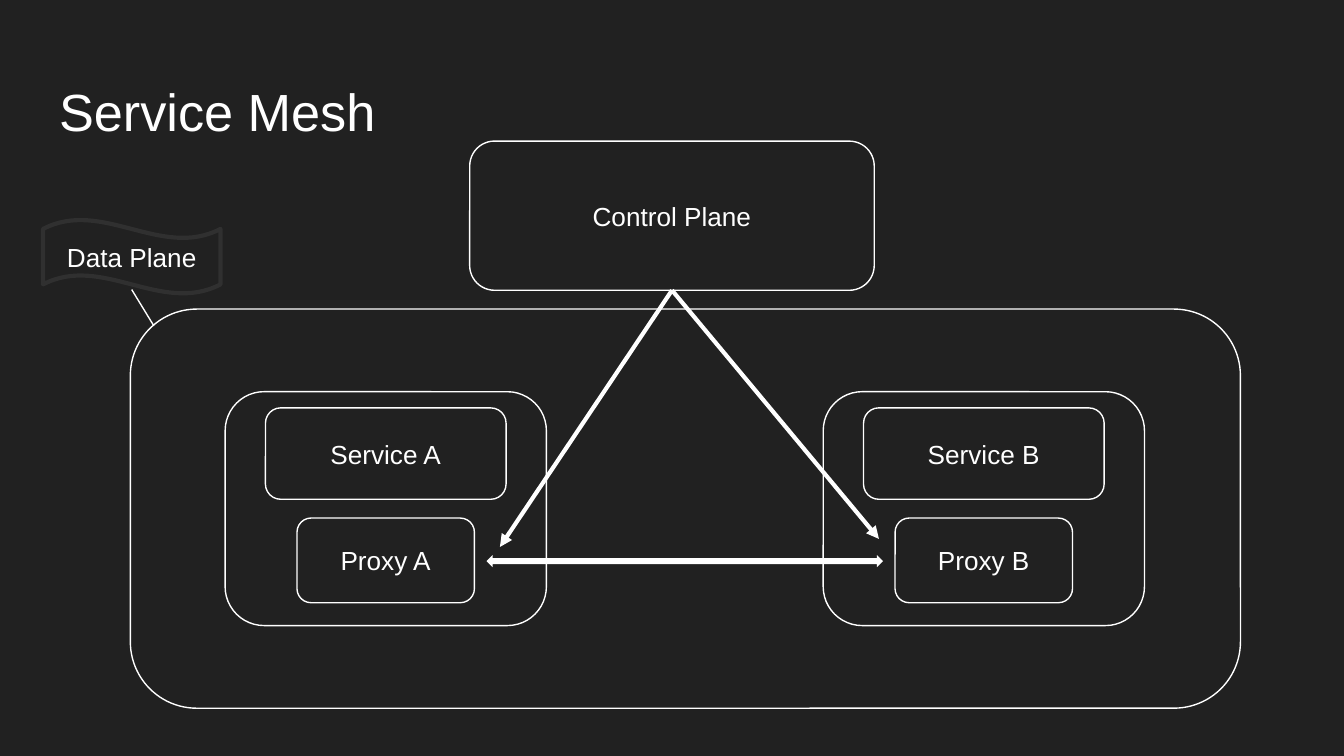
from dataclasses import dataclass

from pptx import Presentation
from pptx.dml.color import RGBColor
from pptx.enum.shapes import MSO_CONNECTOR, MSO_SHAPE
from pptx.enum.text import MSO_ANCHOR, PP_ALIGN
from pptx.oxml.ns import qn
from pptx.util import Inches, Pt
from lxml.etree import SubElement


@dataclass(frozen=True)
class Theme:
    background: RGBColor = RGBColor(0x21, 0x21, 0x21)
    ink: RGBColor = RGBColor(0xFF, 0xFF, 0xFF)
    muted: RGBColor = RGBColor(0x30, 0x30, 0x30)
    font: str = "Arial"
    title_size: float = 28
    label_size: float = 14
    thin: float = 0.75
    thick: float = 2.25


@dataclass(frozen=True)
class Box:
    left: float
    top: float
    width: float
    height: float

    def centered(self, top, width, height):
        return Box(self.left + (self.width - width) / 2, self.top + top, width, height)

    def emu(self):
        return [grid(value) for value in (self.left, self.top, self.width, self.height)]


THEME = Theme()
COLUMNS, ROWS = 100, 56.25


def grid(units):
    return Inches(10 * units / COLUMNS)


def write(shape, text, size, align, anchor):
    frame = shape.text_frame
    settings = {"word_wrap": True, "vertical_anchor": anchor}
    settings.update({f"margin_{side}": Inches(0.1) for side in ("left", "top", "right", "bottom")})
    for name, value in settings.items():
        setattr(frame, name, value)
    para = frame.paragraphs[0]
    para.alignment = align
    span = para.add_run()
    span.text = text
    for name, value in {"name": THEME.font, "size": Pt(size), "bold": False}.items():
        setattr(span.font, name, value)
    span.font.color.rgb = THEME.ink


def outline(page, box, text="", kind=MSO_SHAPE.ROUNDED_RECTANGLE, color=THEME.ink, weight=THEME.thin):
    shape = page.shapes.add_shape(kind, *box.emu())
    shape.shadow.inherit = False
    shape.fill.background()
    shape.line.color.rgb = color
    shape.line.width = Pt(weight)
    if text:
        write(shape, text, THEME.label_size, PP_ALIGN.CENTER, MSO_ANCHOR.MIDDLE)
    return shape


def connect(page, start, end, weight, source=None, arrow=False):
    points = [grid(value) for value in (*start, *end)]
    line = page.shapes.add_connector(MSO_CONNECTOR.STRAIGHT, *points)
    if source is not None:
        line.begin_connect(source, 2)
    line.line.color.rgb = THEME.ink
    line.line.width = Pt(weight)
    if arrow:
        SubElement(line.line._get_or_add_ln(), qn("a:tailEnd"), type="triangle")
    SubElement(line._element.spPr, qn("a:effectLst"))


def place_title(page, box, text):
    title = page.shapes.title
    for name, value in zip(("left", "top", "width", "height"), box.emu()):
        setattr(title, name, value)
    write(title, text, THEME.title_size, PP_ALIGN.LEFT, MSO_ANCHOR.TOP)


def place_workload(page, box, letter):
    outline(page, box)
    outline(page, box.centered(9.4, 13.2, 6.3), f"Proxy {letter}")
    outline(page, box.centered(1.2, 17.9, 6.8), f"Service {letter}")


def place_data_plane(page, box):
    outline(page, box)
    for letter, offset in (("A", 7.05), ("B", 51.55)):
        place_workload(page, Box(box.left + offset, box.top + 6.15, 23.9, 17.4), letter)
    traffic = outline(page, Box(box.left + 26.5, box.top + 18.3, 29.5, 0.9), kind=MSO_SHAPE.LEFT_RIGHT_ARROW)
    traffic.fill.solid()
    traffic.fill.fore_color.rgb = THEME.ink
    traffic.line.fill.background()


def place_control_plane(page, box, targets):
    control = outline(page, box, "Control Plane")
    start = (box.left + box.width / 2, box.top + box.height)
    for target in targets:
        connect(page, start, target, THEME.thick, source=control, arrow=True)


def place_flag(page, box, target):
    connect(page, (box.left + box.width / 2, 21.55), target, THEME.thin)
    outline(page, box, "Data Plane", MSO_SHAPE.WAVE, THEME.muted, THEME.thick)


def main():
    deck = Presentation()
    deck.slide_width, deck.slide_height = grid(COLUMNS), grid(ROWS)
    page = deck.slides.add_slide(deck.slide_layouts[5])
    page.background.fill.solid()
    page.background.fill.fore_color.rgb = THEME.background
    place_title(page, Box(3.4, 4.9, 93.2, 6.3), "Service Mesh")
    place_data_plane(page, Box(9.7, 23, 82.6, 29.7))
    place_control_plane(page, Box(34.95, 10.5, 30.1, 11.1), [(37.2, 40.7), (65.4, 40.1)])
    place_flag(page, Box(3.2, 16.35, 13.2, 5.5), (11.45, 24.25))
    deck.save("out.pptx")


if __name__ == "__main__":
    main()
